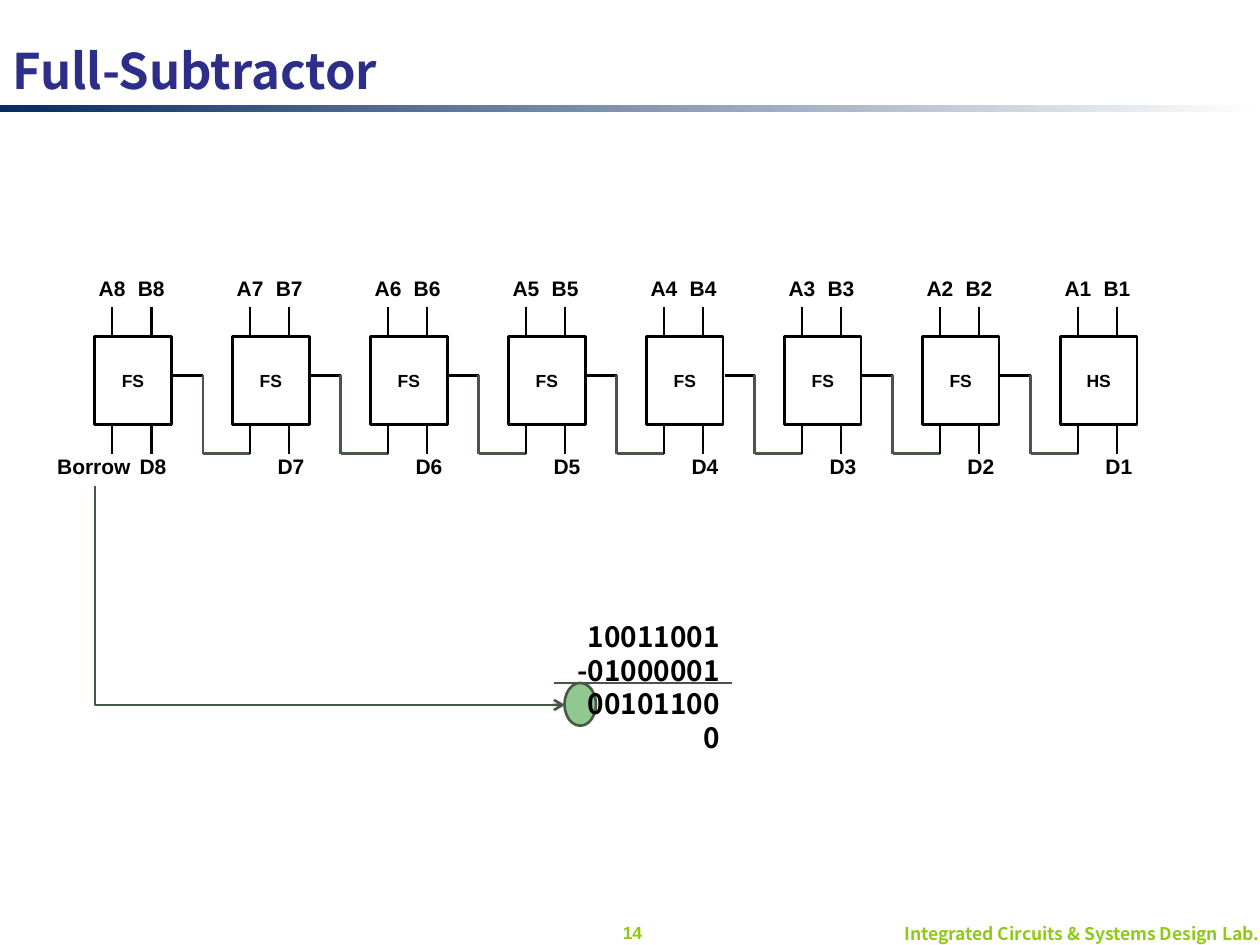
"""Build the eight-bit subtractor slide."""
from dataclasses import dataclass

from lxml import etree
from pptx import Presentation
from pptx.dml.color import RGBColor
from pptx.enum import shapes, text
from pptx.oxml import ns
from pptx.util import Inches, Pt


@dataclass(frozen=True)
class Theme:
    """Colours, fonts and type sizes of the slide."""
    title: str = "2D2D8A"
    rule: str = "072B60"
    paper: str = "FFFFFF"
    ink: str = "000000"
    wire: str = "485846"
    footer: str = "8ECA15"
    highlight: str = "008000"
    sans: str = "Arial"
    display: str = "Noto Sans CJK KR"
    title_size: int = 28
    sum_size: int = 16
    label_size: int = 12
    small_size: int = 10
    line_width: float = 1.5


THEME = Theme()
ALIGN = text.PP_ALIGN
STAGES = 8
FIRST_LEFT = 0.75
STAGE_STEP = 1.095
BOX_WIDTH, BOX_HEIGHT = 0.61, 0.7
BOX_TOP = 2.67
PIN_OFFSETS = (0.14, 0.45)
PIN_LENGTH = 0.23
CARRY_Y = 2.98
WIRE_BOTTOM = 3.6


def rgb(value):
    """Turn a hex string into a colour."""
    return RGBColor.from_string(value)


def write(frame, content, size=THEME.label_size, color=THEME.ink,
          font=THEME.sans, align=ALIGN.CENTER, anchor=text.MSO_ANCHOR.TOP,
          wrap=False, spacing=None):
    """Fill a text frame with formatted bold paragraphs."""
    frame.word_wrap = wrap
    frame.vertical_anchor = anchor
    for index, words in enumerate(content.split("\n")):
        paragraph = frame.paragraphs[0] if index == 0 else frame.add_paragraph()
        paragraph.alignment = align
        if spacing:
            paragraph.line_spacing = Pt(spacing)
        run = paragraph.add_run()
        run.text = words
        run.font.size = Pt(size)
        run.font.bold = True
        run.font.name = font
        run.font.color.rgb = rgb(color)


def label(slide, content, left, top, width, height, **style):
    """Add a text box."""
    box = slide.shapes.add_textbox(*map(Inches, (left, top, width, height)))
    write(box.text_frame, content, **style)


def outline(line, color):
    """Give a line its colour and width."""
    line.color.rgb = rgb(color)
    line.width = Pt(THEME.line_width)


def block(slide, kind, left, top, width, height):
    """Add an unshadowed preset shape."""
    shape = slide.shapes.add_shape(
        kind, *map(Inches, (left, top, width, height)))
    shape.shadow.inherit = False
    return shape


def wire(slide, start, end, color=THEME.ink, kind=shapes.MSO_CONNECTOR.STRAIGHT):
    """Add an unshadowed connector."""
    connector = slide.shapes.add_connector(kind, *map(Inches, (*start, *end)))
    outline(connector.line, color)
    etree.SubElement(connector._element.spPr, ns.qn("a:effectLst"))
    return connector


def add_frame(slide):
    """Add the title, the rule under it and the footer."""
    rule = block(slide, shapes.MSO_SHAPE.RECTANGLE, 0, 0.83, 10, 0.06)
    rule.fill.gradient()
    rule.fill.gradient_angle = 0
    for stop, color in zip(rule.fill.gradient_stops, (THEME.rule, THEME.paper)):
        stop.color.rgb = rgb(color)
    rule.line.fill.background()
    title = slide.shapes.title
    title.left, title.top, title.width, title.height = map(
        Inches, (0, 0.24, 10, 0.63))
    write(title.text_frame, "Full-Subtractor", size=THEME.title_size,
          color=THEME.title, font=THEME.display, align=ALIGN.LEFT,
          anchor=text.MSO_ANCHOR.MIDDLE)
    label(slide, "Integrated Circuits & Systems Design Lab.",
          0.13, 7.31, 9.96, 0.19, size=THEME.small_size, color=THEME.footer,
          font=THEME.display, align=ALIGN.RIGHT,
          anchor=text.MSO_ANCHOR.MIDDLE, wrap=True)
    label(slide, "14", 4.63, 7.27, 0.78, 0.27, size=THEME.small_size,
          color=THEME.footer, wrap=True)


def add_stage(slide, column):
    """Add one subtractor with its pins, labels and borrow wiring."""
    left = FIRST_LEFT + column * STAGE_STEP
    bit = STAGES - column
    box = block(slide, shapes.MSO_SHAPE.RECTANGLE,
                left, BOX_TOP, BOX_WIDTH, BOX_HEIGHT)
    box.fill.background()
    outline(box.line, THEME.ink)
    write(box.text_frame, "HS" if bit == 1 else "FS", size=THEME.small_size,
          anchor=text.MSO_ANCHOR.MIDDLE, wrap=True)
    for name, offset in zip("AB", PIN_OFFSETS):
        pin = left + offset
        for bottom in (BOX_TOP, WIRE_BOTTOM):
            wire(slide, (pin, bottom), (pin, bottom - PIN_LENGTH))
        label(slide, f"{name}{bit}", pin - 0.21, 2.14, 0.42, 0.3)
    label(slide, f"D{bit}", left + 0.25, 3.55, 0.43, 0.3)
    if bit > 1:
        bend = left + 0.86
        next_pin = left + STAGE_STEP + PIN_OFFSETS[0]
        wire(slide, (left + 0.62, CARRY_Y), (bend, CARRY_Y))
        wire(slide, (bend, CARRY_Y), (bend, WIRE_BOTTOM), THEME.wire)
        wire(slide, (next_pin, WIRE_BOTTOM), (bend, WIRE_BOTTOM), THEME.wire)


def add_borrow_arrow(slide):
    """Lead the last borrow down and right to the worked sum."""
    arrow = wire(slide, (1.75, 2.86), (3.49, 6.59), THEME.wire,
                 shapes.MSO_CONNECTOR.ELBOW)
    properties = arrow._element.spPr
    properties.find(ns.qn("a:prstGeom")).set("prst", "bentConnector2")
    position = properties.find(ns.qn("a:xfrm"))
    position.set("rot", str(270 * 60000))
    position.set("flipH", "1")
    etree.SubElement(properties.find(ns.qn("a:ln")),
                     ns.qn("a:tailEnd"), type="arrow")


def add_worked_sum(slide):
    """Add the subtraction with its highlighted borrow digit."""
    borrow = block(slide, shapes.MSO_SHAPE.OVAL, 4.48, 5.42, 0.25, 0.34)
    borrow.fill.solid()
    borrow.fill.fore_color.rgb = rgb(THEME.highlight)
    tint = borrow._element.spPr.find(
        f"{ns.qn('a:solidFill')}/{ns.qn('a:srgbClr')}")
    etree.SubElement(tint, ns.qn("a:alpha"), val="43000")
    outline(borrow.line, THEME.wire)
    label(slide, "10011001\n-01000001\n001011000", 4.44, 4.87, 1.37, 0.91,
          size=THEME.sum_size, font=THEME.display, align=ALIGN.RIGHT,
          wrap=True, spacing=19.2)
    wire(slide, (4.4, 5.42), (5.81, 5.42), THEME.wire)


def main():
    """Build and save the slide."""
    deck = Presentation()
    deck.slide_width, deck.slide_height = Inches(10), Inches(7.5)
    slide = deck.slides.add_slide(deck.slide_layouts[5])
    add_frame(slide)
    for column in range(STAGES):
        add_stage(slide, column)
    label(slide, "Borrow", 0.35, 3.55, 0.79, 0.3)
    add_worked_sum(slide)
    add_borrow_arrow(slide)
    deck.save("out.pptx")


main()
